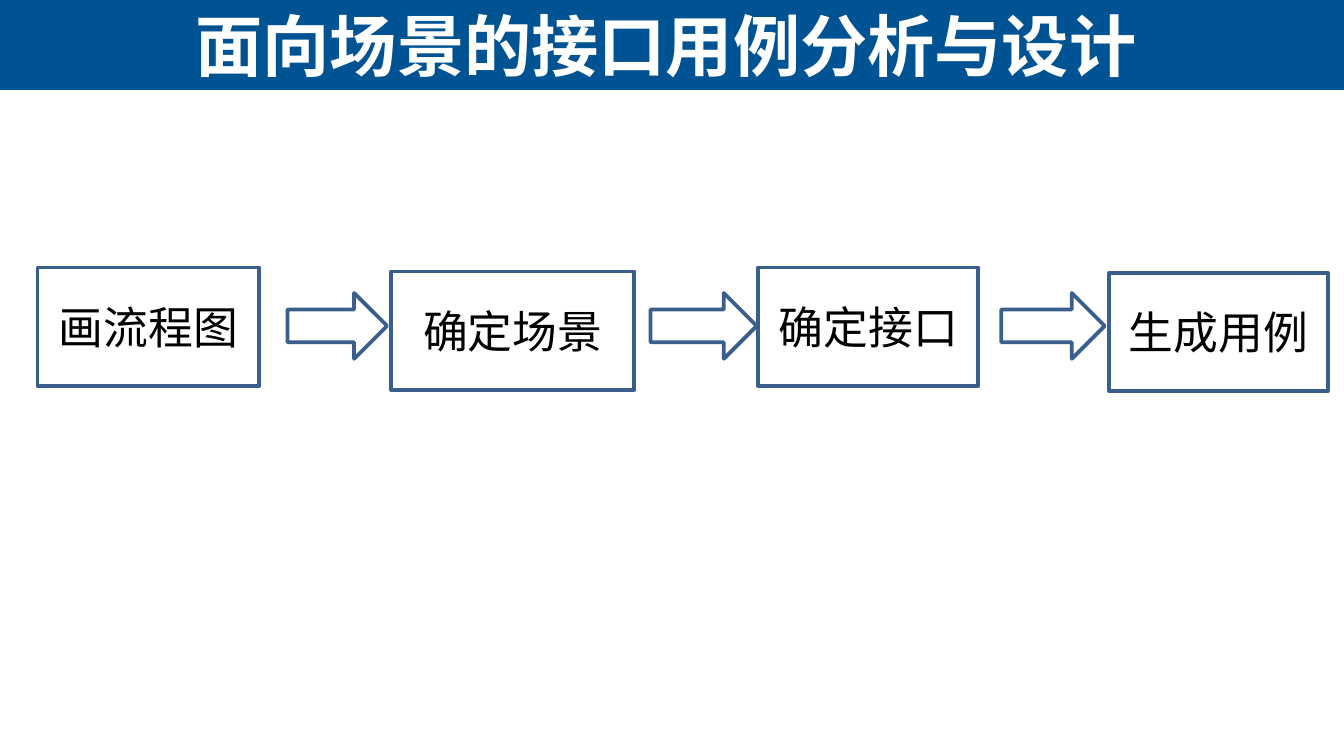
from pptx import Presentation
from pptx import util as u
from pptx.dml.color import RGBColor
from pptx.enum import shapes, text

NAVY, LINE, WHITE, BLACK = "005392", "3A5F8C", "FFFFFF", "000000"
TITLE_FONT = {"name": "Arial", "size": u.Pt(36), "bold": True}
STEP_FONT = {"name": "Calibri", "size": u.Pt(24), "bold": False}


def rgb(value):
    return RGBColor.from_string(value)


def inches(box):
    return [u.Inches(v) for v in box]


def write(sp, words, font, color):
    """Put one centred line of text in a shape."""
    tf = sp.text_frame
    frame = {"word_wrap": True, "auto_size": text.MSO_AUTO_SIZE.NONE,
             "vertical_anchor": text.MSO_ANCHOR.MIDDLE}
    for key, value in frame.items():
        setattr(tf, key, value)
    p = tf.paragraphs[0]
    p.alignment = text.PP_ALIGN.CENTER
    r = p.add_run()
    r.text = words
    for key, value in font.items():
        setattr(r.font, key, value)
    r.font.color.rgb = rgb(color)


def add_outline(s, kind, box):
    sp = s.shapes.add_shape(kind, *inches(box))
    sp.shadow.inherit = False
    sp.fill.background()
    sp.line.color.rgb = rgb(LINE)
    sp.line.width = u.Pt(2)
    return sp


def add_header(s, box, words):
    """Fill the box with a band and lay the title over it."""
    left, top, width, height = box
    band = s.shapes.add_shape(shapes.MSO_SHAPE.RECTANGLE, *inches(box))
    band.shadow.inherit = False
    band.fill.solid()
    band.fill.fore_color.rgb = rgb(NAVY)
    band.line.fill.background()

    title = s.shapes.title
    title.element.addprevious(band.element)
    place = inches((left + 0.02, top, width - 0.13, height))
    for key, value in zip(("left", "top", "width", "height"), place):
        setattr(title, key, value)
    write(title, words, TITLE_FONT, WHITE)


def add_flow(s, box, steps, arrows):
    """Draw steps (words, x, y, width) and arrows (x, width) within the box."""
    left, top, _, height = box
    for words, x, y, width in steps:
        sp = add_outline(s, shapes.MSO_SHAPE.RECTANGLE,
                         (left + x, top + y, width, height))
        write(sp, words, STEP_FONT, BLACK)
    for x, width in arrows:
        add_outline(s, shapes.MSO_SHAPE.RIGHT_ARROW,
                    (left + x, top + 0.19, width, 0.49))


def main():
    prs = Presentation()
    prs.slide_width = u.Inches(10)
    prs.slide_height = prs.slide_width * 9 // 16
    s = prs.slides.add_slide(prs.slide_layouts[5])
    add_header(s, (0, 0, 10, 0.67), "面向场景的接口用例分析与设计")
    steps = [("画流程图", 0, 0, 1.65), ("确定场景", 2.63, 0.03, 1.81),
             ("确定接口", 5.36, 0, 1.64), ("生成用例", 7.97, 0.04, 1.63)]
    arrows = [(4.56, 0.79), (1.86, 0.74), (7.17, 0.77)]
    add_flow(s, (0.28, 1.99, 9.6, 0.88), steps, arrows)
    prs.save("out.pptx")


if __name__ == "__main__":
    main()
